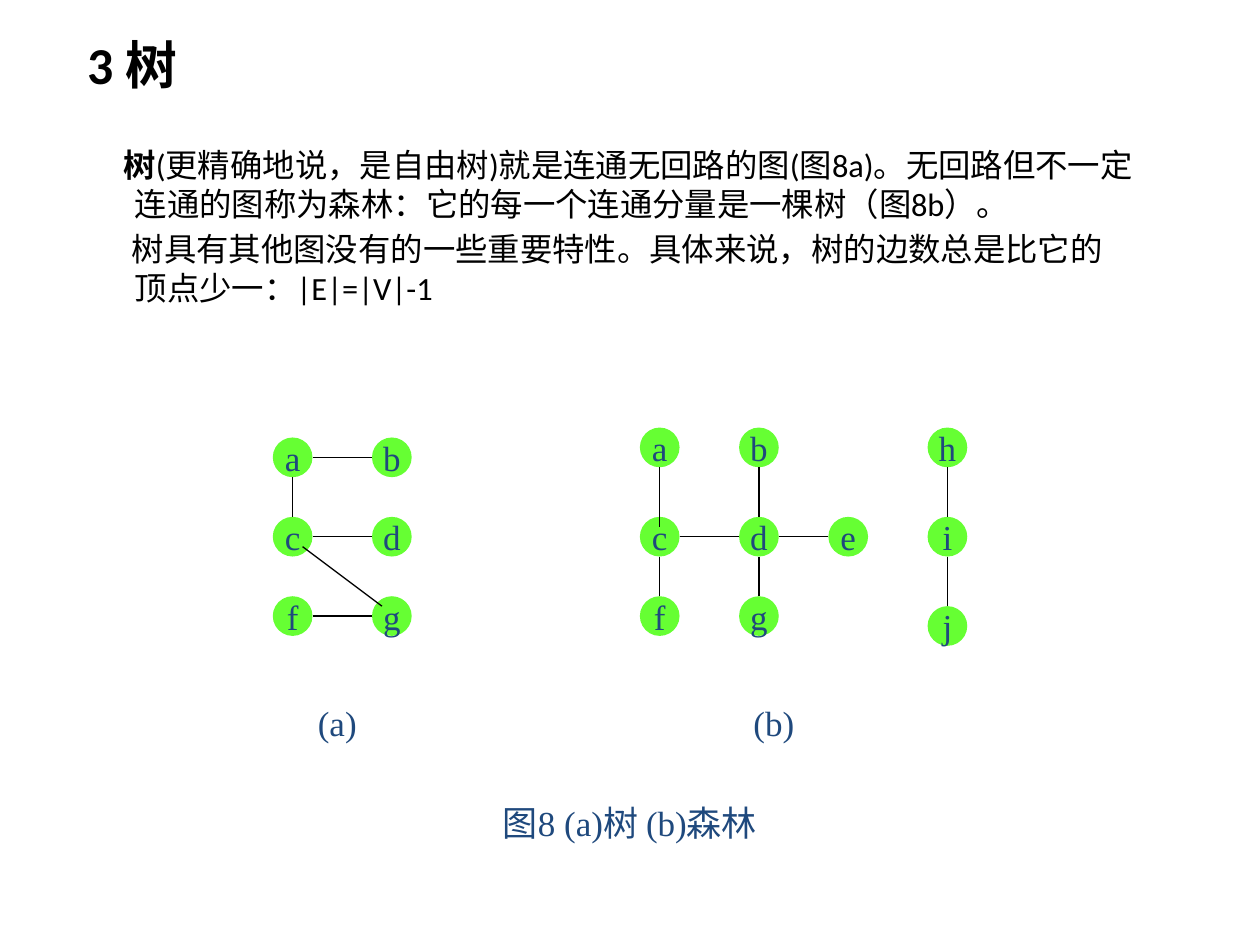
from math import copysign

from pptx import Presentation
from pptx.dml.color import RGBColor
from pptx.enum.shapes import MSO_CONNECTOR as LINE, MSO_SHAPE as SHAPE
from pptx.enum.text import MSO_ANCHOR as ANCHOR, MSO_AUTO_SIZE as SIZE, PP_ALIGN as ALIGN
from pptx.oxml.ns import qn
from pptx.util import Cm, Pt
from lxml.etree import SubElement

BLACK = RGBColor(0, 0, 0)
GREEN = RGBColor(0x66, 0xFF, 0x33)
NAVY = RGBColor(0x1F, 0x49, 0x7D)
R = 0.4  # node radius in cm

TITLE = "3 树"
# first-line indent in cm, then runs as (text, bold)
BODY = [
    (-0.23, [("树", True),
             ("(更精确地说，是自由树)就是连通无回路的图(图8a)。无回路但不一定连通的图称为森林："
              "它的每一个连通分量是一棵树（图8b）。", False)]),
    (-0.06, [("树具有其他图没有的一些重要特性。具体来说，"
              "树的边数总是比它的顶点少一：|E|=|V|-1", False)]),
]
# node centres in cm; edges as (start, end, trim at start, trim at end)
TREE = {
    "nodes": {"a": (5.9, 9.22), "b": (7.9, 9.22), "c": (5.9, 10.82),
              "d": (7.9, 10.82), "f": (5.9, 12.42), "g": (7.9, 12.42)},
    "edges": [("a", "c", R, R), ("a", "b", R, R), ("c", "d", R, R),
              ("c", "g", R / 2, R / 2), ("f", "g", R, R)],
}
FOREST = {
    "nodes": {"a": (13.3, 9.02), "b": (15.3, 9.02), "c": (13.3, 10.82),
              "d": (15.3, 10.82), "e": (17.1, 10.82), "f": (13.3, 12.42),
              "g": (15.3, 12.42), "h": (19.1, 9.02), "i": (19.1, 10.82),
              "j": (19.1, 12.62)},
    "edges": [("a", "c", R, R / 2), ("c", "f", R, R), ("c", "d", R, R),
              ("d", "e", R, R), ("b", "d", R, R), ("d", "g", R, R),
              ("h", "i", R, R), ("i", "j", R, R)],
}
# text, left, top, width in cm
NOTES = [("(a)", 5.3, 14.02, 3), ("(b)", 14.1, 14.02, 3),
         ("图8 (a)树 (b)森林", 6.3, 16.03, 12.8)]


def style(font, name, size, color, bold=False):
    font.name, font.size, font.bold = name, Pt(size), bold
    font.color.rgb = color


def label(frame, text):
    frame.text = text
    para = frame.paragraphs[0]
    para.alignment = ALIGN.CENTER
    style(para.runs[0].font, "Times New Roman", 20, NAVY)


def add_node(shapes, name, x, y):
    node = shapes.add_shape(SHAPE.OVAL, Cm(x - R), Cm(y - R), Cm(2 * R), Cm(2 * R))
    node.shadow.inherit = False
    node.fill.solid()
    node.fill.fore_color.rgb = GREEN
    node.line.fill.background()
    frame = node.text_frame
    frame.word_wrap = False
    frame.vertical_anchor = ANCHOR.MIDDLE
    label(frame, name)


def shift(a, b, trim):
    """Move coordinate a towards b by trim, unless they are equal."""
    return a if a == b else a + copysign(trim, b - a)


def add_edge(shapes, start, end, near, far):
    head = [Cm(shift(a, b, near)) for a, b in zip(start, end)]
    tail = [Cm(shift(b, a, far)) for a, b in zip(start, end)]
    edge = shapes.add_connector(LINE.STRAIGHT, *head, *tail)
    edge.line.color.rgb = BLACK
    edge.line.width = Pt(0.75)
    SubElement(edge._element.spPr, qn("a:effectLst"))


def add_graph(shapes, nodes, edges):
    for name, spot in nodes.items():
        add_node(shapes, name, *spot)
    for start, end, near, far in edges:
        add_edge(shapes, nodes[start], nodes[end], near, far)


def add_title(slide):
    title = slide.shapes.title
    title.left, title.top, title.width, title.height = Cm(1.5), Cm(0.53), Cm(21.6), Cm(1.6)
    frame = title.text_frame
    frame.text = TITLE
    frame.auto_size = SIZE.NONE
    frame.vertical_anchor = ANCHOR.TOP
    para = frame.paragraphs[0]
    para.alignment = ALIGN.LEFT
    style(para.runs[0].font, "Calibri", 29.6, BLACK, True)


def add_body(slide):
    frame = slide.shapes.add_textbox(Cm(1.5), Cm(2.8), Cm(21.6), Cm(3.5)).text_frame
    frame.word_wrap = True
    for i, (indent, runs) in enumerate(BODY):
        para = frame.add_paragraph() if i else frame.paragraphs[0]
        props = para._p.get_or_add_pPr()
        props.set("marL", str(Cm(0.97)))
        props.set("indent", str(Cm(indent)))
        if i:
            para.space_before = Pt(3.7)
        for text, bold in runs:
            run = para.add_run()
            run.text = text
            style(run.font, "Calibri", 18.5, BLACK, bold)


def main():
    deck = Presentation()
    deck.slide_width, deck.slide_height = Cm(25.4), Cm(19.05)
    slide = deck.slides.add_slide(deck.slide_layouts[5])
    add_title(slide)
    add_body(slide)
    figure = slide.shapes.add_group_shape().shapes
    for graph in (TREE, FOREST):
        add_graph(figure, **graph)
    for text, left, top, width in NOTES:
        frame = figure.add_textbox(Cm(left), Cm(top), Cm(width), Cm(1.1)).text_frame
        frame.word_wrap = True
        label(frame, text)
    deck.save("out.pptx")


if __name__ == "__main__":
    main()
